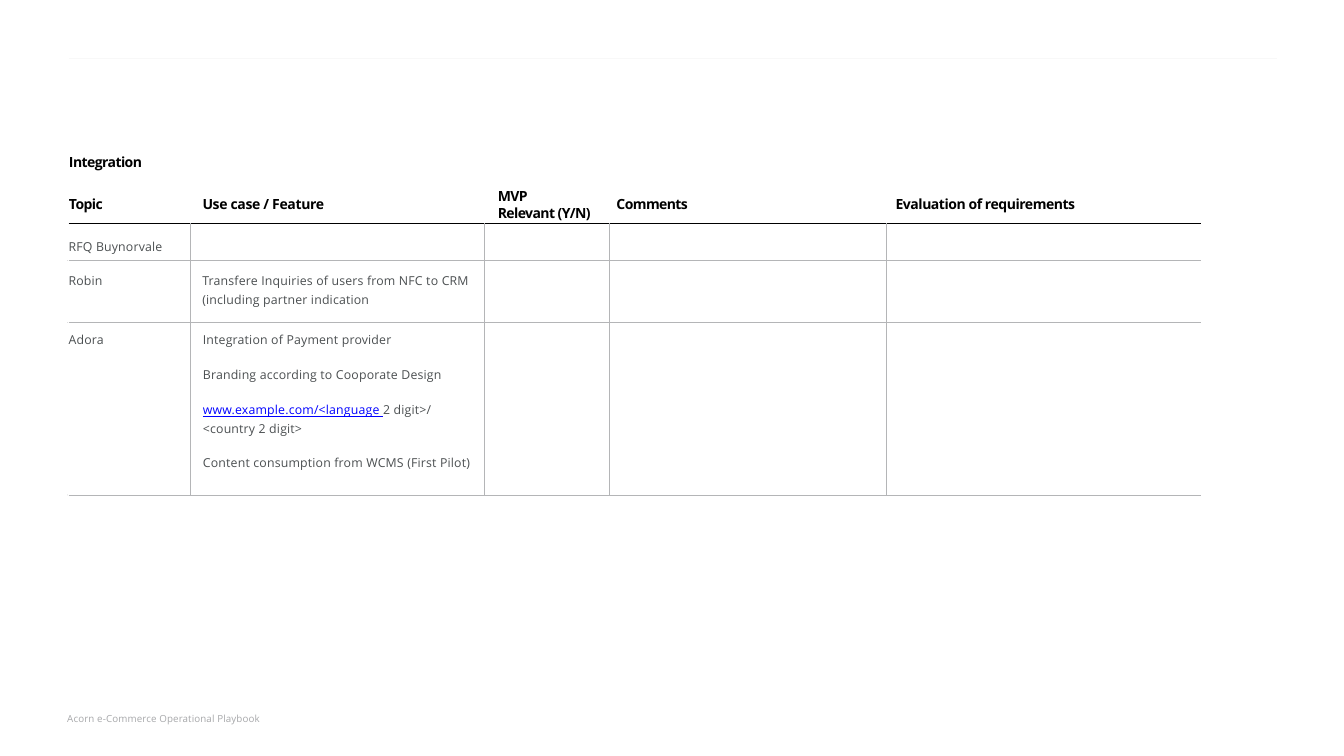
from itertools import accumulate

from lxml import etree
from pptx import Presentation
from pptx.dml.color import RGBColor
from pptx.enum import shapes, text
from pptx.oxml import ns
from pptx.util import Pt

BLACK, BODY, MUTED = "000000", "4B4F51", "A7A8AA"
GRID, FAINT, LINK = "B4B5B7", "F8F8F8", "0000FF"
TABLE_LEFT, TABLE_TOP = 80.8, 263.5
COLUMN_WIDTHS = [143.2, 346.3, 147.6, 326.2, 370.8]
ROW_HEIGHTS = [43.2, 73.4, 203]


def color(value):
    """Turn a hex string into a colour."""
    return RGBColor.from_string(value)


def border(cell, side, value):
    """Draw one side of a cell, or clear it when value is None."""
    line = etree.SubElement(cell._tc.get_or_add_tcPr(), ns.qn(f"a:ln{side}"))
    line.set("w", str(Pt(1)))
    if value is None:
        etree.SubElement(line, ns.qn("a:noFill"))
    else:
        fill = etree.SubElement(line, ns.qn("a:solidFill"))
        etree.SubElement(fill, ns.qn("a:srgbClr")).set("val", value)


class SlideBuilder:
    """Holds the style and the current slide."""

    font = "Open Sans"

    def __init__(self, slide):
        """Keep the slide that receives the elements."""
        self.slide = slide

    def format(self, paragraph, size, value, bold=False, spacing=0.0):
        """Style every run of a paragraph; spacing is in points."""
        for run in paragraph.runs:
            run.font.name = self.font
            run.font.size = Pt(size)
            run.font.bold = bold
            run.font.color.rgb = color(value)
            run._r.get_or_add_rPr().set("spc", str(round(spacing * 100)))

    def label(self, words, left, top, width, height, size=16.5, value=BLACK,
              bold=True, spacing=-0.65, line_spacing=None):
        """Add a text box without side margins."""
        shape = self.slide.shapes.add_textbox(Pt(left), Pt(top), Pt(width), Pt(height))
        frame = shape.text_frame
        frame.word_wrap = True
        frame.margin_left = frame.margin_right = frame.margin_bottom = 0
        frame.margin_top = Pt(1)
        frame.text = words
        for paragraph in frame.paragraphs:
            if line_spacing:
                paragraph.line_spacing = Pt(line_spacing)
            self.format(paragraph, size, value, bold, spacing)

    def rule(self, left, top, width):
        """Add a faint horizontal line."""
        line = self.slide.shapes.add_connector(
            shapes.MSO_CONNECTOR.STRAIGHT, Pt(left), Pt(top), Pt(left + width), Pt(top))
        line.line.color.rgb = color(FAINT)
        line.line.width = Pt(0.5)
        etree.SubElement(line._element.spPr, ns.qn("a:effectLst"))

    def dot(self, left, top, size):
        """Add a tiny dot that starts a grid line."""
        shape = self.slide.shapes.add_shape(
            shapes.MSO_SHAPE.OVAL, Pt(left), Pt(top), Pt(size), Pt(size))
        shape.shadow.inherit = False
        shape.fill.solid()
        shape.fill.fore_color.rgb = color(GRID)
        shape.line.fill.background()

    def table(self, left, top, widths, heights):
        """Add a table with inner grid lines and a black top line."""
        table = self.slide.shapes.add_table(
            len(heights), len(widths), Pt(left), Pt(top),
            Pt(sum(widths)), Pt(sum(heights))).table
        table.first_row = table.horz_banding = False
        for column, width in zip(table.columns, widths):
            column.width = Pt(width)
        for row_index, height in enumerate(heights):
            table.rows[row_index].height = Pt(height)
            for column_index in range(len(widths)):
                cell = table.cell(row_index, column_index)
                border(cell, "L", GRID if column_index else None)
                border(cell, "R", GRID if column_index < len(widths) - 1 else None)
                border(cell, "T", GRID if row_index else BLACK)
                border(cell, "B", GRID)
                cell.fill.background()
        return table

    def fill_cell(self, cell, words, left, top):
        """Write body text into a cell and return its paragraphs."""
        cell.margin_left, cell.margin_top = Pt(left), Pt(top)
        cell.margin_right = cell.margin_bottom = 0
        cell.vertical_anchor = text.MSO_ANCHOR.TOP
        cell.text_frame.text = words
        for paragraph in cell.text_frame.paragraphs:
            self.format(paragraph, 14.5, BODY, spacing=0.2)
        return cell.text_frame.paragraphs


presentation = Presentation()
presentation.slide_width, presentation.slide_height = Pt(1583.28), Pt(890.64)
builder = SlideBuilder(presentation.slides.add_slide(presentation.slide_layouts[6]))

builder.rule(81.4, 69.1, 1422.7)
builder.label("Integration", 81.2, 179.8, 110, 22)
for heading, left, width, spacing in [
        ("Topic", 81.2, 60, -0.6), ("Use case / Feature", 238.6, 180, -0.37),
        ("Comments", 726.2, 110, -0.65),
        ("Evaluation of requirements", 1055, 250, -0.52)]:
    builder.label(heading, left, 229.7, width, 22, spacing=spacing)
builder.label("MVP\nRelevant (Y/N)", 586.4, 220.3, 130, 42, line_spacing=19.8)

for row_bottom in accumulate(ROW_HEIGHTS, initial=TABLE_TOP):
    if row_bottom > TABLE_TOP:
        builder.dot(79.4, row_bottom - 0.35, 0.7)
table = builder.table(TABLE_LEFT, TABLE_TOP, COLUMN_WIDTHS, ROW_HEIGHTS)
for row_index, (topic, top) in enumerate(
        [("RFQ Buynorvale", 17), ("Robin", 14.4), ("Adora", 10.8)]):
    builder.fill_cell(table.cell(row_index, 0), topic, 0, top)

inquiries, = builder.fill_cell(
    table.cell(1, 1),
    "Transfere Inquiries of users from NFC to CRM (including partner indication", 14.4, 12.2)
inquiries.line_spacing = 1.12

features = builder.fill_cell(table.cell(2, 1), "\n".join([
    "Integration of Payment provider",
    "Branding according to Cooporate Design",
    "www.example.com/<language ",
    "<country 2 digit>",
    "Content consumption from WCMS (First Pilot)"]), 15.1, 10.8)
for paragraph, space in zip(features[1:], [21.5, 21.5, 2.4, 20.9]):
    paragraph.space_before = Pt(space)
address = features[2]
address.add_run().text = "2 digit>/"
builder.format(address, 14.5, BODY, spacing=0.2)
address.runs[0].font.color.rgb = color(LINK)
address.runs[0].font.underline = True

builder.label("Acorn e-Commerce Operational Playbook", 79.2, 838.6, 260, 18,
              size=11.5, value=MUTED, bold=False, spacing=0.13)

presentation.save("out.pptx")
